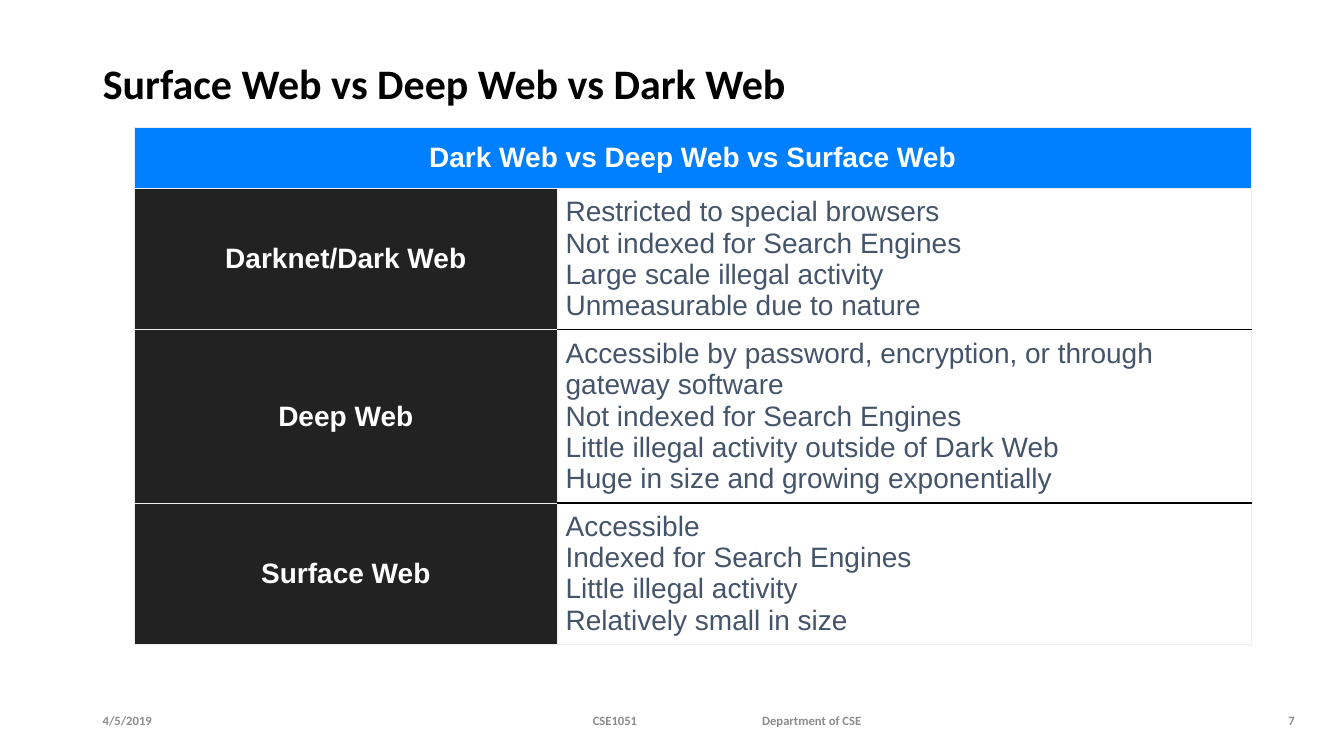
"""Build a slide that compares the dark, deep and surface web in a table."""
from dataclasses import dataclass

from pptx import Presentation
from pptx.dml.color import RGBColor
from pptx.enum.text import MSO_ANCHOR, PP_ALIGN
from pptx.oxml.ns import qn
from pptx.slide import Slide
from pptx.table import Table, _Cell
from pptx.text.text import TextFrame
from pptx.util import Inches, Pt
from lxml import etree

LEFT, CENTER, RIGHT = PP_ALIGN.LEFT, PP_ALIGN.CENTER, PP_ALIGN.RIGHT
MIDDLE = MSO_ANCHOR.MIDDLE
TITLE_ONLY = 5


@dataclass(frozen=True)
class TextStyle:
    font: str
    size: float
    color: str
    bold: bool = True
    alignment: PP_ALIGN = LEFT


@dataclass(frozen=True)
class Theme:
    title: TextStyle = TextStyle("Calibri", 30, "000000")
    heading: TextStyle = TextStyle("Arial", 20, "FFFFFF", alignment=CENTER)
    detail: TextStyle = TextStyle("Arial", 20, "44546A", bold=False)
    footer: TextStyle = TextStyle("Calibri", 9, "8C8C8C")
    page_number: TextStyle = TextStyle("Calibri", 9, "8C8C8C", alignment=RIGHT)
    header_fill: str = "007FFF"
    name_fill: str = "222222"
    detail_fill: str = "FFFFFF"
    grid: tuple[str, float] = ("EDEDED", 0.75)
    divider: tuple[str, float] = ("000000", 1)


@dataclass(frozen=True)
class WebLayer:
    name: str
    height: float
    details: tuple[str, ...]


@dataclass(frozen=True)
class FooterItem:
    text: str
    left: float
    width: float
    style: TextStyle
    inset: float = 0.1
    tab_stop: float = 0


THEME = Theme()
TITLE = "Surface Web vs Deep Web vs Dark Web"
TABLE_HEADING = "Dark Web vs Deep Web vs Surface Web"
HEADER_HEIGHT = 0.61
COLUMN_WIDTHS = (4.2, 6.88)
LAYERS = (
    WebLayer("Darknet/Dark Web", 1.4, (
        "Restricted to special browsers",
        "Not indexed for Search Engines",
        "Large scale illegal activity",
        "Unmeasurable due to nature",
    )),
    WebLayer("Deep Web", 1.72, (
        "Accessible by password, encryption, or through gateway software",
        "Not indexed for Search Engines",
        "Little illegal activity outside of Dark Web",
        "Huge in size and growing exponentially",
    )),
    WebLayer("Surface Web", 1.4, (
        "Accessible",
        "Indexed for Search Engines",
        "Little illegal activity",
        "Relatively small in size",
    )),
)
FOOTER = (
    FooterItem("4/5/2019", 0.92, 1.26, THEME.footer),
    FooterItem("CSE1051	Department of CSE", 2.42, 9.6, THEME.footer, 3.46, 1.68),
    FooterItem("7", 12.42, 0.52, THEME.page_number),
)


def write_lines(frame: TextFrame, lines: tuple[str, ...], style: TextStyle) -> None:
    """Write the lines as one styled paragraph with line breaks."""
    paragraph = frame.paragraphs[0]
    paragraph.alignment = style.alignment
    for index, line in enumerate(lines):
        if index:
            paragraph.add_line_break()
        run = paragraph.add_run()
        run.text = line
        formats = {"name": style.font, "size": Pt(style.size), "bold": style.bold}
        for attribute, value in formats.items():
            setattr(run.font, attribute, value)
        run.font.color.rgb = RGBColor.from_string(style.color)


def set_borders(cell: _Cell, top: tuple[str, float], bottom: tuple[str, float]) -> None:
    """Draw the four borders of a cell."""
    properties = cell._tc.get_or_add_tcPr()
    borders = {"a:lnL": THEME.grid, "a:lnR": THEME.grid, "a:lnT": top, "a:lnB": bottom}
    for tag, (color, width) in borders.items():
        line = etree.SubElement(properties, qn(tag), w=str(Pt(width)))
        fill = etree.SubElement(line, qn("a:solidFill"))
        etree.SubElement(fill, qn("a:srgbClr"), val=color)


def fill_cell(cell: _Cell, lines: tuple[str, ...], style: TextStyle, fill: str,
              inset: float = 0.08) -> None:
    """Give a cell its fill, margins and text."""
    cell.fill.solid()
    cell.fill.fore_color.rgb = RGBColor.from_string(fill)
    cell.vertical_anchor = MIDDLE
    for side in ("left", "top", "right", "bottom"):
        setattr(cell, f"margin_{side}", Inches(inset))
    write_lines(cell.text_frame, lines, style)


def add_title(slide: Slide) -> None:
    """Place and format the title placeholder."""
    title = slide.shapes.title
    title.left, title.top = Inches(0.92), Inches(0.48)
    title.width, title.height = Inches(10.13), Inches(0.75)
    title.text_frame.vertical_anchor = MIDDLE
    write_lines(title.text_frame, (TITLE,), THEME.title)
    title.text_frame.paragraphs[0].line_spacing = 0.9


def size_table(table: Table) -> None:
    """Set column widths, row heights and plain banding."""
    table.first_row = table.horz_banding = False
    for column, width in zip(table.columns, COLUMN_WIDTHS):
        column.width = Inches(width)
    heights = (HEADER_HEIGHT, *(layer.height for layer in LAYERS))
    for row, height in zip(table.rows, heights):
        row.height = Inches(height)


def add_comparison(slide: Slide) -> None:
    """Add the table with one row for each web layer."""
    height = HEADER_HEIGHT + sum(layer.height for layer in LAYERS)
    table = slide.shapes.add_table(
        len(LAYERS) + 1, len(COLUMN_WIDTHS), Inches(1.33), Inches(1.26),
        Inches(sum(COLUMN_WIDTHS)), Inches(height)).table
    size_table(table)
    header = table.cell(0, 0)
    header.merge(table.cell(0, 1))
    for column in range(len(COLUMN_WIDTHS)):
        set_borders(table.cell(0, column), THEME.grid, THEME.grid)
    fill_cell(header, (TABLE_HEADING,), THEME.heading, THEME.header_fill, 0.15)
    for row, layer in enumerate(LAYERS, start=1):
        name, details = table.cell(row, 0), table.cell(row, 1)
        set_borders(name, THEME.grid, THEME.grid)
        set_borders(details, THEME.divider if row > 1 else THEME.grid,
                    THEME.divider if row < len(LAYERS) else THEME.grid)
        fill_cell(name, (layer.name,), THEME.heading, THEME.name_fill)
        fill_cell(details, layer.details, THEME.detail, THEME.detail_fill)


def add_footer_item(slide: Slide, item: FooterItem) -> None:
    """Add one text box of the footer line."""
    frame = slide.shapes.add_textbox(
        Inches(item.left), Inches(6.95), Inches(item.width), Inches(0.4)).text_frame
    formats = {"word_wrap": True, "vertical_anchor": MIDDLE,
               "margin_left": Inches(item.inset)}
    for attribute, value in formats.items():
        setattr(frame, attribute, value)
    write_lines(frame, (item.text,), item.style)
    if item.tab_stop:
        properties = frame.paragraphs[0]._p.get_or_add_pPr()
        tabs = etree.SubElement(properties, qn("a:tabLst"))
        etree.SubElement(tabs, qn("a:tab"), pos=str(Inches(item.tab_stop)), algn="l")


def main() -> None:
    """Build and save the presentation."""
    presentation = Presentation()
    presentation.slide_width, presentation.slide_height = Inches(13.33), Inches(7.5)
    slide = presentation.slides.add_slide(presentation.slide_layouts[TITLE_ONLY])
    add_title(slide)
    add_comparison(slide)
    for item in FOOTER:
        add_footer_item(slide, item)
    presentation.save("out.pptx")


if __name__ == "__main__":
    main()
